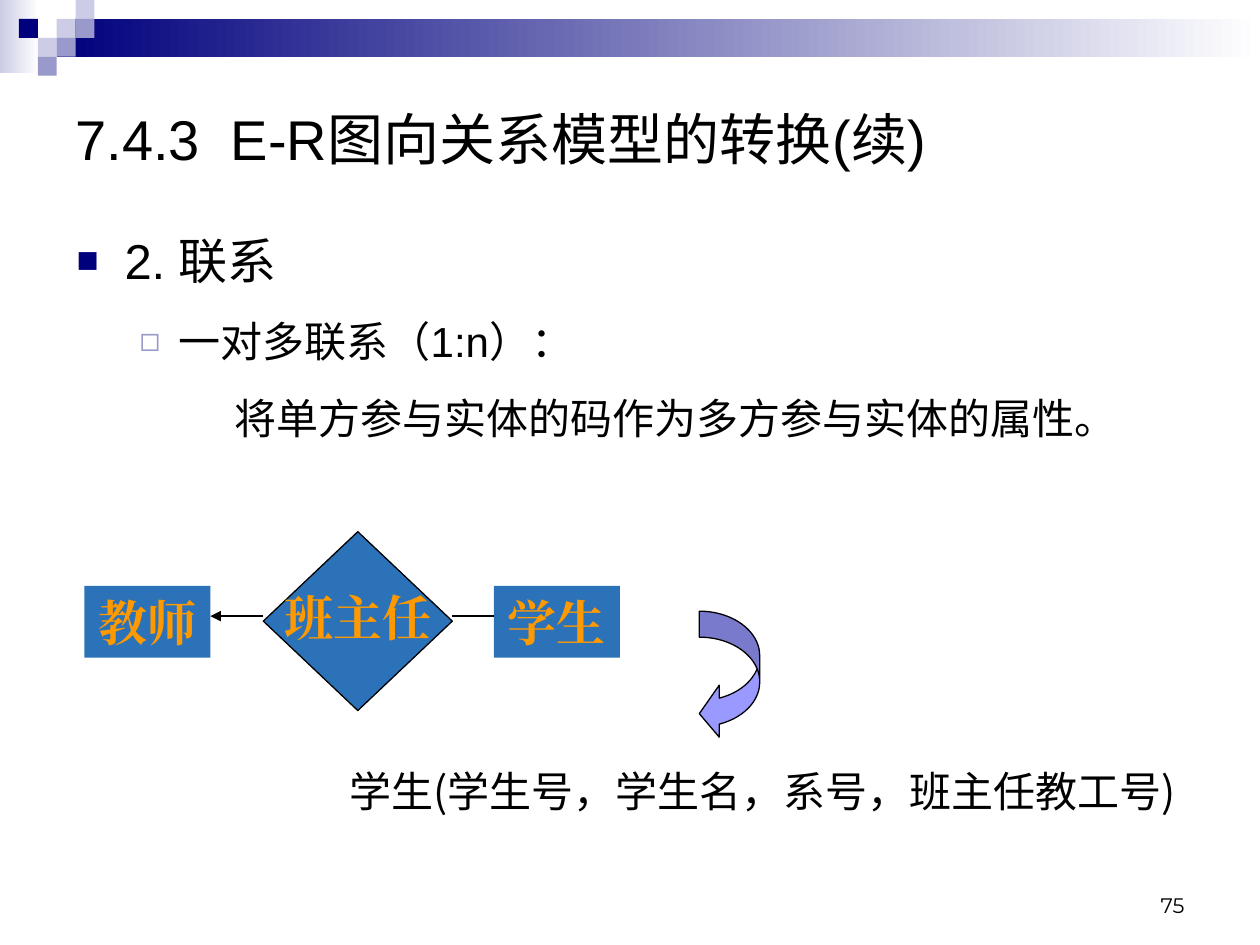
"""Build the slide on converting a one-to-many E-R relationship to a relation."""
from lxml.etree import SubElement
from pptx import Presentation
from pptx.dml.color import RGBColor
from pptx.enum.shapes import MSO_CONNECTOR, MSO_SHAPE
from pptx.enum.text import MSO_ANCHOR, PP_ALIGN
from pptx.oxml.ns import qn
from pptx.util import Inches, Pt

COLORS = {"navy": "00007D", "pale": "CCCCE6", "mid": "9999CC", "white": "FFFFFF",
          "black": "000000", "blue": "2C72B8", "orange": "FF9900", "arrow": "9999FF"}
RGB = {name: RGBColor.from_string(value) for name, value in COLORS.items()}

prs = Presentation()
prs.slide_width, prs.slide_height = Inches(10), Inches(7.5)
COL, ROW = prs.slide_width / 100, prs.slide_height / 100
s = prs.slides.add_slide(prs.slide_layouts[6])


def add_box(kind, x, y, w, h, fill=None, line=None):
    sp = s.shapes.add_shape(kind, int(x * COL), int(y * ROW), int(w * COL), int(h * ROW))
    sp.shadow.inherit = False
    if fill:
        sp.fill.solid()
        sp.fill.fore_color.rgb = RGB[fill]
    else:
        sp.fill.background()
    if line:
        sp.line.color.rgb = RGB[line]
        sp.line.width = Pt(0.75)
    else:
        sp.line.fill.background()
    return sp


def add_text(sp, lines, size, font, color="black", align=PP_ALIGN.LEFT,
             anchor=MSO_ANCHOR.TOP, bold=False):
    tf = sp.text_frame
    tf.text = "\n".join(lines)
    tf.word_wrap = True
    tf.vertical_anchor = anchor
    for p in tf.paragraphs:
        p.alignment = align
        for r in p.runs:
            r.font.size, r.font.name, r.font.bold = Pt(size), font, bold
            r.font.color.rgb = RGB[color]
            SubElement(r.font._element, qn("a:ea")).set("typeface", font)
    return tf


for x, y, w, h, start in [(0, 0, 3.1, 7.73, "pale"), (4.5, 2, 95.5, 4, "navy")]:
    band = add_box(MSO_SHAPE.RECTANGLE, x, y, w, h)
    band.fill.gradient()
    band.fill.gradient_angle = 0
    for stop, position, name in zip(band.fill.gradient_stops, (0, 1), (start, "white")):
        stop.position = position
        stop.color.rgb = RGB[name]

for col, row, name in [(3, 1, "pale"), (4, 0, "pale"), (4, 1, "mid"), (2, 2, "pale"),
                       (1, 1, "navy"), (3, 2, "mid"), (2, 3, "mid")]:
    add_box(MSO_SHAPE.RECTANGLE, col * 1.5, row * 2, 1.5, 2, name)

number = add_box(MSO_SHAPE.RECTANGLE, 71.7, 91.07, 23.3, 6.67)
add_text(number, ["75"], 12, "Montserrat", align=PP_ALIGN.RIGHT, anchor=MSO_ANCHOR.BOTTOM)
title = add_box(MSO_SHAPE.RECTANGLE, 5, 8.53, 90, 12.13)
add_text(title, ["7.4.3  E-R图向关系模型的转换(续)"], 32, "Arial", anchor=MSO_ANCHOR.MIDDLE)

body = add_box(MSO_SHAPE.RECTANGLE, 5.1, 23.73, 92.5, 26.67)
tf = add_text(body, ["2. 联系", "一对多联系（1:n）：",
                     "将单方参与实体的码作为多方参与实体的属性。"], 24, "Arial")
tf.paragraphs[0].runs[0].font.size = Pt(28)
levels = [(3.8, -3.8, 0, "■", "navy", 75), (8.1, -3.1, 15, "◻", "mid", 80),
          (12.5, 0, 15, None, None, None)]
for p, (margin, indent, before, bullet, color, share) in zip(tf.paragraphs, levels):
    p.space_before = Pt(before)
    pPr = p._p.get_or_add_pPr()
    pPr.set("marL", str(int(margin * COL)))
    pPr.set("indent", str(int(indent * COL)))
    if bullet:
        SubElement(SubElement(pPr, qn("a:buClr")), qn("a:srgbClr")).set("val", COLORS[color])
        SubElement(pPr, qn("a:buSzPct")).set("val", str(share * 1000))
        SubElement(pPr, qn("a:buFont")).set("typeface", "Arial")
        SubElement(pPr, qn("a:buChar")).set("char", bullet)

for x, entity in [(6.7, "教师"), (39.2, "学生")]:
    sp = add_box(MSO_SHAPE.RECTANGLE, x, 62, 10, 7.6, "blue")
    add_text(sp, [entity], 28, "Times New Roman", "orange", PP_ALIGN.CENTER, bold=True)

for x1, x2, head in [(16.7, 20.9, True), (35.9, 39.2, False)]:
    y = int(65.2 * ROW)
    link = s.shapes.add_connector(MSO_CONNECTOR.STRAIGHT, int(x1 * COL), y, int(x2 * COL), y)
    link.line.color.rgb = RGB["black"]
    link.line.width = Pt(0.75)
    if head:
        SubElement(link.line._get_or_add_ln(), qn("a:headEnd")).set("type", "triangle")
    SubElement(link._element.spPr, qn("a:effectLst"))

relation = add_box(MSO_SHAPE.DIAMOND, 20.9, 56.27, 15, 18.93, "blue", "black")
tf = add_text(relation, ["班主任"], 28, "Times New Roman", "orange", PP_ALIGN.CENTER,
              MSO_ANCHOR.MIDDLE, True)
tf.word_wrap = False
tf.paragraphs[0].line_spacing = 0.9

schema = add_box(MSO_SHAPE.RECTANGLE, 20.1, 80.4, 75.8, 7.33)
tf = add_text(schema, ["学生(学生号，学生名，系号，班主任教工号)"], 24, "Noto Sans CJK JP",
              align=PP_ALIGN.CENTER)
pPr = tf.paragraphs[0]._p.get_or_add_pPr()
pPr.set("marL", str(int(8.1 * COL)))
pPr.set("indent", str(int(-3.1 * COL)))

turn = add_box(MSO_SHAPE.CURVED_LEFT_ARROW, 55.5, 64.67, 4.8, 13.6, "arrow", "black")
for i, share in enumerate((0.43, 0.86, 0.33)):
    turn.adjustments[i] = share

prs.save("out.pptx")
